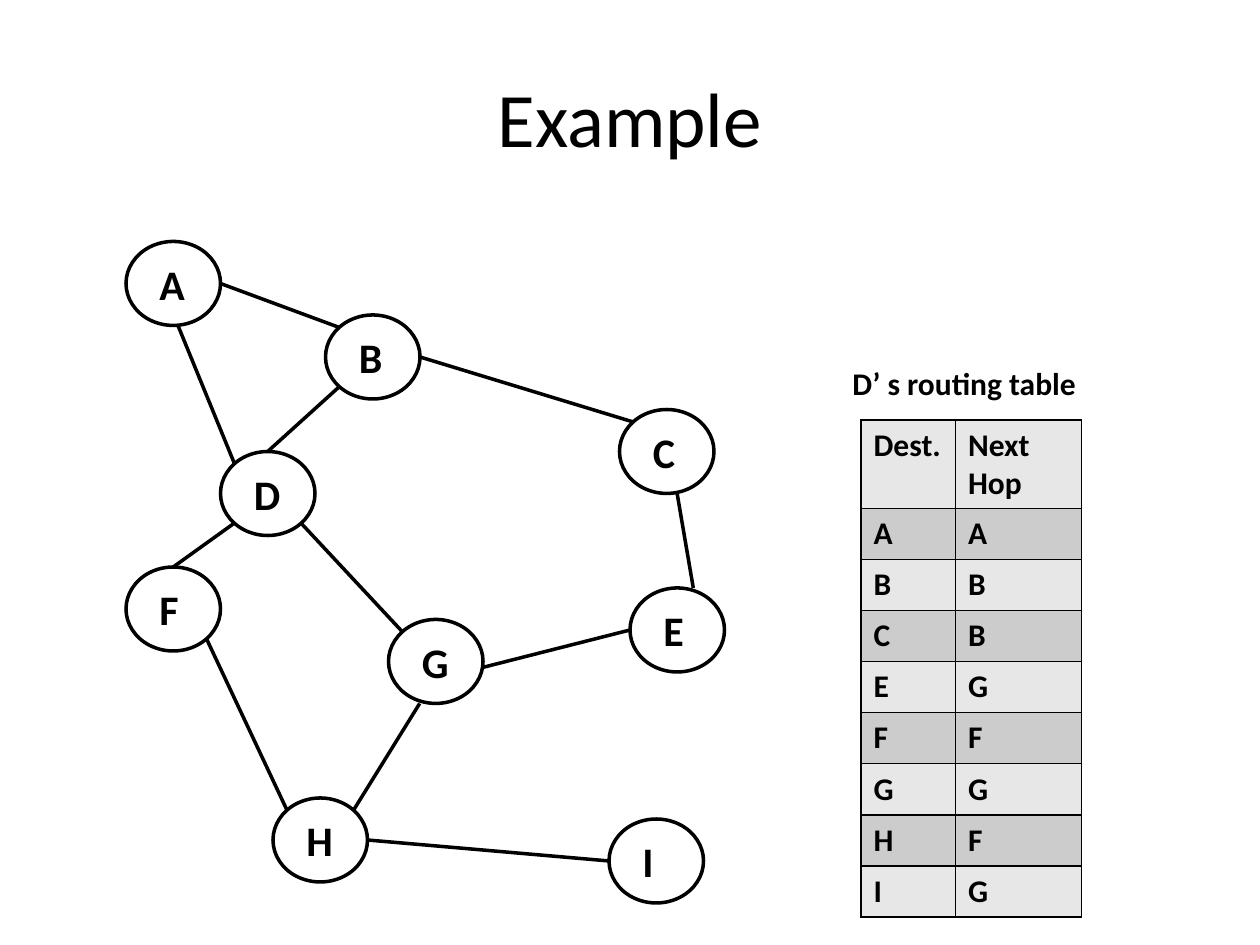
from lxml import etree
from pptx import Presentation
from pptx.dml.color import RGBColor
from pptx.enum.shapes import MSO_CONNECTOR, MSO_SHAPE
from pptx.enum.text import MSO_ANCHOR, MSO_AUTO_SIZE, PP_ALIGN
from pptx.oxml.ns import qn
from pptx.util import Inches, Pt

OVAL = MSO_SHAPE.OVAL
STRAIGHT = MSO_CONNECTOR.STRAIGHT
MIDDLE = MSO_ANCHOR.MIDDLE
GROW = MSO_AUTO_SIZE.SHAPE_TO_FIT_TEXT
CENTER = PP_ALIGN.CENTER

COLORS = {"ink": "000000", "light": "E7E7E7", "dark": "CCCCCC"}
FONT = "Calibri"
CELLS_PER_INCH = 12
NODE_SIZE = (9, 8)

# Router: grid column, grid row, label width
ROUTERS = {
    "A": (12, 23, 4.9), "B": (31, 30, 4.7), "D": (21, 43, 4.9),
    "F": (12, 54, 4.3), "C": (59, 39, 4.6), "E": (60, 56, 4.4),
    "G": (37, 59, 5.0), "H": (26, 76, 4.9), "I": (58, 78, 3.5),
}

# Points on a router's outline, as shares of its width and height
TOP, LEFT, RIGHT = (0.5, 0), (0, 0.5), (1, 0.5)
TOP_LEFT, TOP_RIGHT = (0.15, 0.15), (0.85, 0.15)
BOTTOM_LEFT, BOTTOM_RIGHT = (0.15, 0.85), (0.85, 0.85)

LINKS = [
    ("A", RIGHT, "B", TOP_LEFT),
    ("A", (0.55, 1), "D", TOP_LEFT),
    ("D", BOTTOM_LEFT, "F", TOP),
    ("B", BOTTOM_LEFT, "D", TOP),
    ("B", RIGHT, "C", TOP_LEFT),
    ("G", TOP_LEFT, "D", BOTTOM_RIGHT),
    ("E", (0.67, 0), "C", (0.61, 1)),
    ("H", TOP_LEFT, "F", BOTTOM_RIGHT),
    ("I", LEFT, "H", RIGHT),
    ("G", (0.33, 1), "H", TOP_RIGHT),
    ("E", LEFT, "G", (1, 0.57)),
]

ROUTES = [("Dest.", "Next Hop"), *zip("ABCEFGHI", "ABBGFGFG")]


def grid(*cells):
    return [Inches(cell / CELLS_PER_INCH) for cell in cells]


def rgb(name):
    return RGBColor.from_string(COLORS[name])


class NetworkSlide:
    def __init__(self, slide):
        self.slide = slide
        self.shapes = slide.shapes
        self.nodes = {}

    def style(self, paragraph, size, bold=True):
        font = paragraph.font
        font.name, font.size, font.bold = FONT, Pt(size), bold
        font.color.rgb = rgb("ink")

    def outline(self, shape):
        shape.line.color.rgb = rgb("ink")
        shape.line.width = Pt(2)

    def title(self, text, *box):
        title = self.shapes.title
        title.left, title.top, title.width, title.height = grid(*box)
        title.text_frame.text = text
        title.text_frame.vertical_anchor = MIDDLE
        heading = title.text_frame.paragraphs[0]
        heading.alignment = CENTER
        self.style(heading, 44, bold=False)

    def label(self, text, size, *box):
        frame = self.shapes.add_textbox(*grid(*box)).text_frame
        frame.word_wrap = False
        frame.auto_size = GROW
        frame.text = text
        self.style(frame.paragraphs[0], size)

    def router(self, name, column, row, label_width):
        node = self.shapes.add_shape(OVAL, *grid(column, row, *NODE_SIZE))
        node.shadow.inherit = False
        node.fill.background()
        self.outline(node)
        self.nodes[name] = node
        self.label(name, 24, column + 2, row + 1, label_width, 6)

    def point(self, name, share):
        node = self.nodes[name]
        return (int(node.left + share[0] * node.width),
                int(node.top + share[1] * node.height))

    def link(self, start, start_share, end, end_share):
        link = self.shapes.add_connector(
            STRAIGHT, *self.point(start, start_share), *self.point(end, end_share))
        if end_share == TOP:
            link.end_connect(self.nodes[end], 0)
        self.outline(link)
        etree.SubElement(link._element.spPr, qn("a:effectLst"))

    def border(self, cell):
        properties = cell._tc.get_or_add_tcPr()
        for position, side in enumerate(("lnL", "lnR", "lnT", "lnB")):
            line = etree.Element(qn(f"a:{side}"), w=str(Pt(1)))
            fill = etree.SubElement(line, qn("a:solidFill"))
            etree.SubElement(fill, qn("a:srgbClr"), val=COLORS["ink"])
            properties.insert(position, line)

    def table(self, rows, widths, left, top, height):
        box = grid(left, top, sum(widths), height)
        table = self.shapes.add_table(len(rows), len(widths), *box).table
        for column, width in zip(table.columns, grid(*widths)):
            column.width = width
        for r, row in enumerate(rows):
            for c, text in enumerate(row):
                cell = table.cell(r, c)
                cell.text = text
                cell.fill.solid()
                cell.fill.fore_color.rgb = rgb("dark" if r % 2 else "light")
                self.style(cell.text_frame.paragraphs[0], 18)
                self.border(cell)


def main():
    deck = Presentation()
    deck.slide_width, deck.slide_height = Inches(10), Inches(7.5)
    example = NetworkSlide(deck.slides.add_slide(deck.slide_layouts[5]))
    example.title("Example", 6, 3.6, 108, 15)

    # Network graph
    for name, place in ROUTERS.items():
        example.router(name, *place)
    for link in LINKS:
        example.link(*link)

    # Routing table
    example.label("D’ s routing table", 18, 80, 34.1, 23.9, 4.8)
    example.table(ROUTES, widths=(9, 12), left=82, top=40, height=43.8)

    deck.save("out.pptx")


if __name__ == "__main__":
    main()
